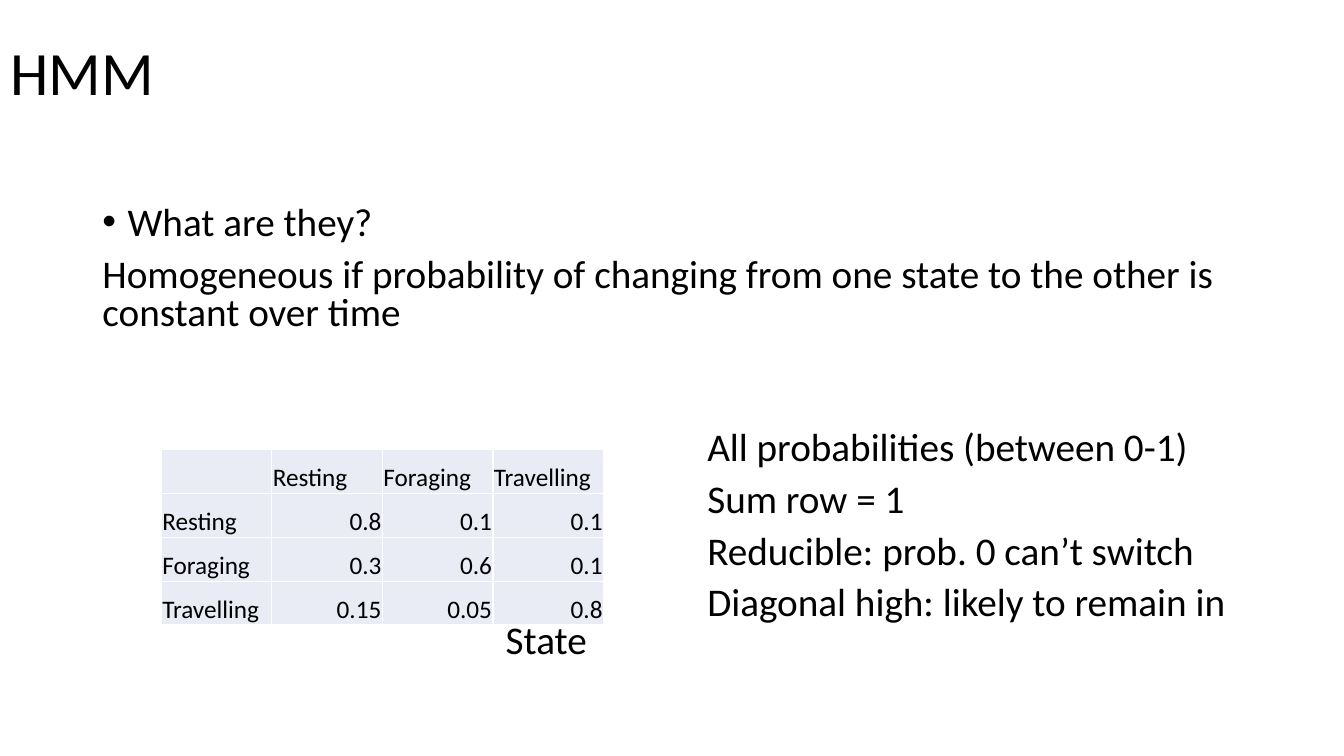
from pptx import Presentation
from pptx.dml.color import RGBColor as Rgb
from pptx.enum.text import MSO_ANCHOR as Anchor, MSO_AUTO_SIZE as Fit, PP_ALIGN as Align
from pptx.oxml.ns import qn
from pptx.util import Pt
from lxml.etree import SubElement as Sub

INK, PALE, WHITE = "000000", "E9EBF5", "FFFFFF"


def color(code):
    return Rgb.from_string(code)


def put(item, form):
    for key, val in form.items():
        setattr(item, key, val)


class Deck:
    face = "Calibri"

    def __init__(self, wide, high):
        self.prs = Presentation()
        put(self.prs, dict(slide_width=Pt(wide), slide_height=Pt(high)))
        self.slide = self.prs.slides.add_slide(self.prs.slide_layouts[1])

    def place(self, shape, box, anchor):
        put(shape, dict(zip(("left", "top", "width", "height"), map(Pt, box))))
        put(shape.text_frame, dict(word_wrap=True, auto_size=Fit.NONE,
                                   vertical_anchor=anchor))
        return shape.text_frame

    def label(self, para, text, size, **form):
        put(para, dict(alignment=Align.LEFT) | form)
        run = para.add_run()
        run.text = text
        put(run.font, dict(name=self.face, size=Pt(size), bold=False))
        run.font.color.rgb = color(INK)

    def title(self, text, box):
        frame = self.place(self.slide.shapes.title, box, Anchor.MIDDLE)
        self.label(frame.paragraphs[0], text, 44, line_spacing=0.9)

    def body(self, lines, box):
        frame = self.place(self.slide.placeholders[1], box, Anchor.TOP)
        for num, (text, gap, left, first, mark) in enumerate(lines):
            para = frame.add_paragraph() if num else frame.paragraphs[0]
            self.label(para, text, 28, line_spacing=0.8, space_before=Pt(gap))
            props = para._p.get_or_add_pPr()
            props.set("marL", str(Pt(left)))
            props.set("indent", str(Pt(first)))
            if mark:
                Sub(props, qn("a:buFont"), typeface="Arial")
                Sub(props, qn("a:buChar"), char=mark)
            else:
                Sub(props, qn("a:buNone"))

    def edge(self, cell):
        props = cell._tc.get_or_add_tcPr()
        for side in "LRTB":
            line = Sub(props, qn(f"a:ln{side}"), w=str(Pt(1)))
            Sub(Sub(line, qn("a:solidFill")), qn("a:srgbClr"), val=WHITE)

    def table(self, rows, box):
        grid = self.slide.shapes.add_table(len(rows), len(rows[0]), *map(Pt, box)).table
        put(grid, dict(first_row=False, horz_banding=False))
        for r, row in enumerate(rows):
            for c, text in enumerate(row):
                cell = grid.cell(r, c)
                put(cell, dict(margin_left=Pt(0.75), margin_right=Pt(0.75),
                               margin_top=Pt(0.75), margin_bottom=0,
                               vertical_anchor=Anchor.BOTTOM))
                self.edge(cell)
                cell.fill.solid()
                cell.fill.fore_color.rgb = color(PALE)
                if text:
                    side = Align.RIGHT if r and c else Align.LEFT
                    self.label(cell.text_frame.paragraphs[0], text, 18, alignment=side)


def main():
    deck = Deck(960, 540)

    # Heading
    deck.title("HMM", (0, 1.5, 828, 104.4))

    # Points: text, space before, left margin, first-line indent, bullet
    deck.body([
        ("What are they?", 10, 18, -18, "•"),
        ("Homogeneous if probability of changing from one state to the other is "
         "constant over time", 10, 0, 0, None),
        ("All probabilities (between 0-1)", 70, 432, 0, None),
        ("Sum row = 1", 10, 432, 0, None),
        ("Reducible: prob. 0 can’t switch", 10, 432, 0, None),
        ("Diagonal high: likely to remain in State", 10, 288, 144, None),
    ], (66, 144, 828, 342.7))

    # Transition matrix
    states = ["Resting", "Foraging", "Travelling"]
    odds = [["0.8", "0.1", "0.1"], ["0.3", "0.6", "0.1"], ["0.15", "0.05", "0.8"]]
    rows = [[""] + states] + [[name] + vals for name, vals in zip(states, odds)]
    deck.table(rows, (115.2, 321.2, 316, 125.2))

    deck.prs.save("out.pptx")


if __name__ == "__main__":
    main()
